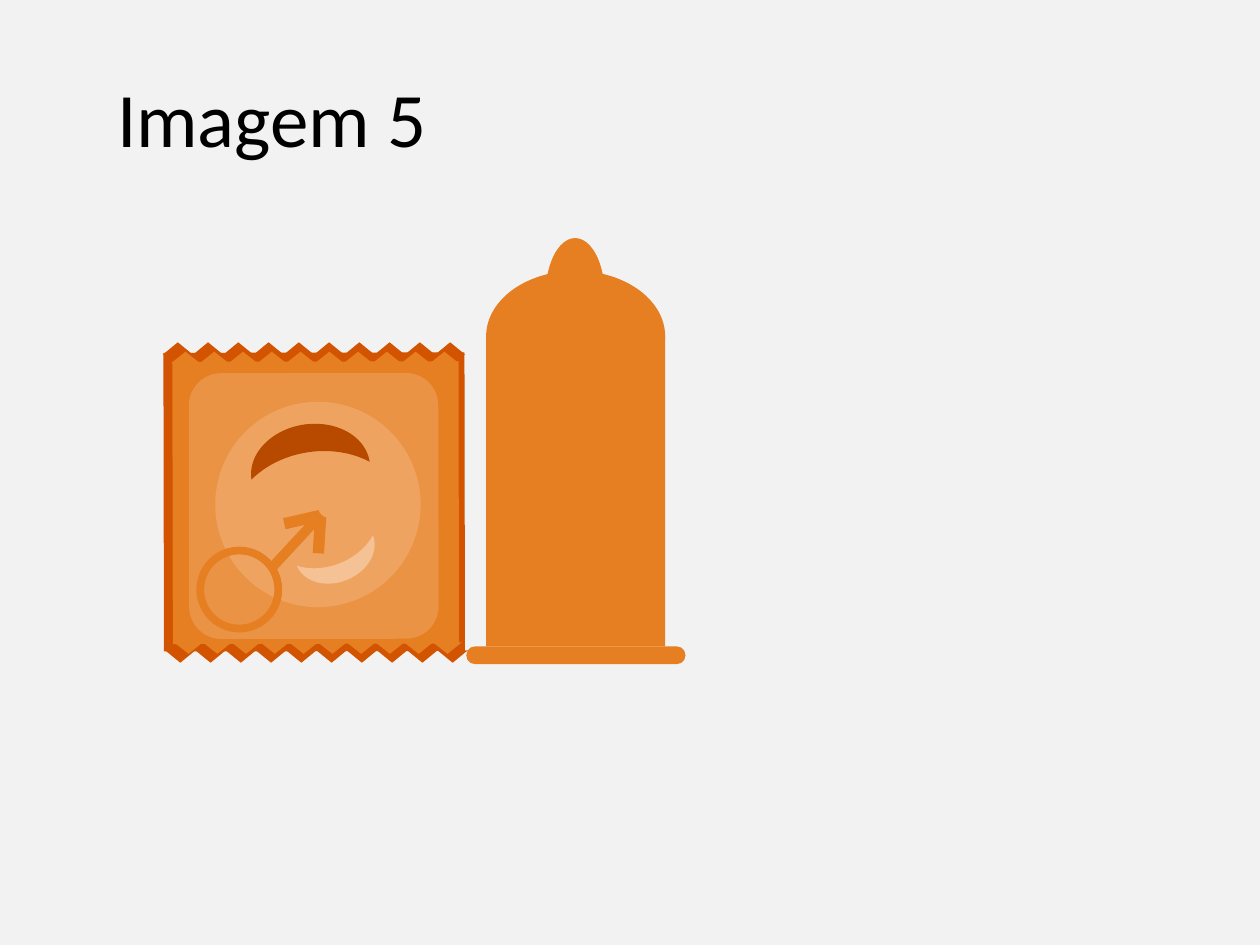
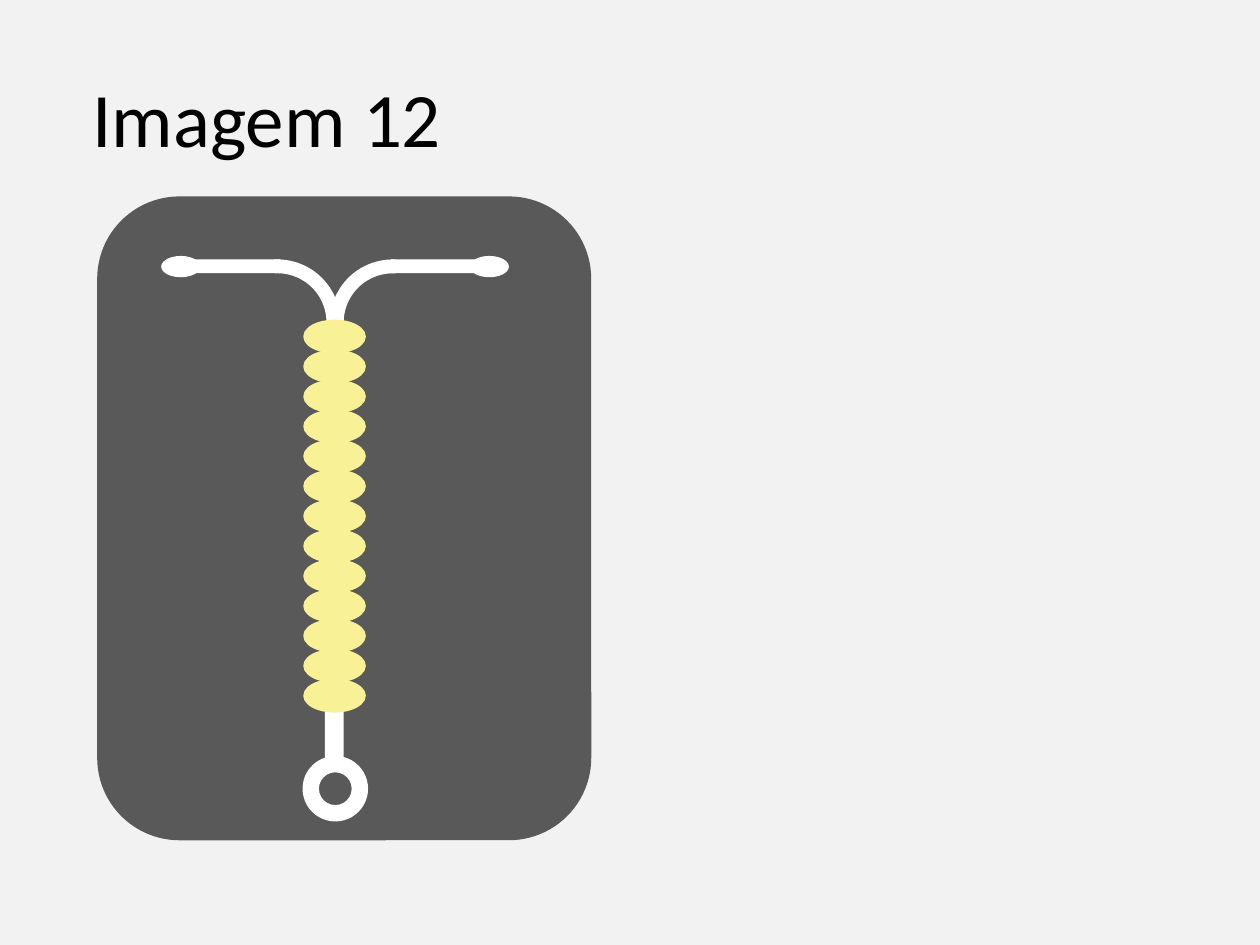
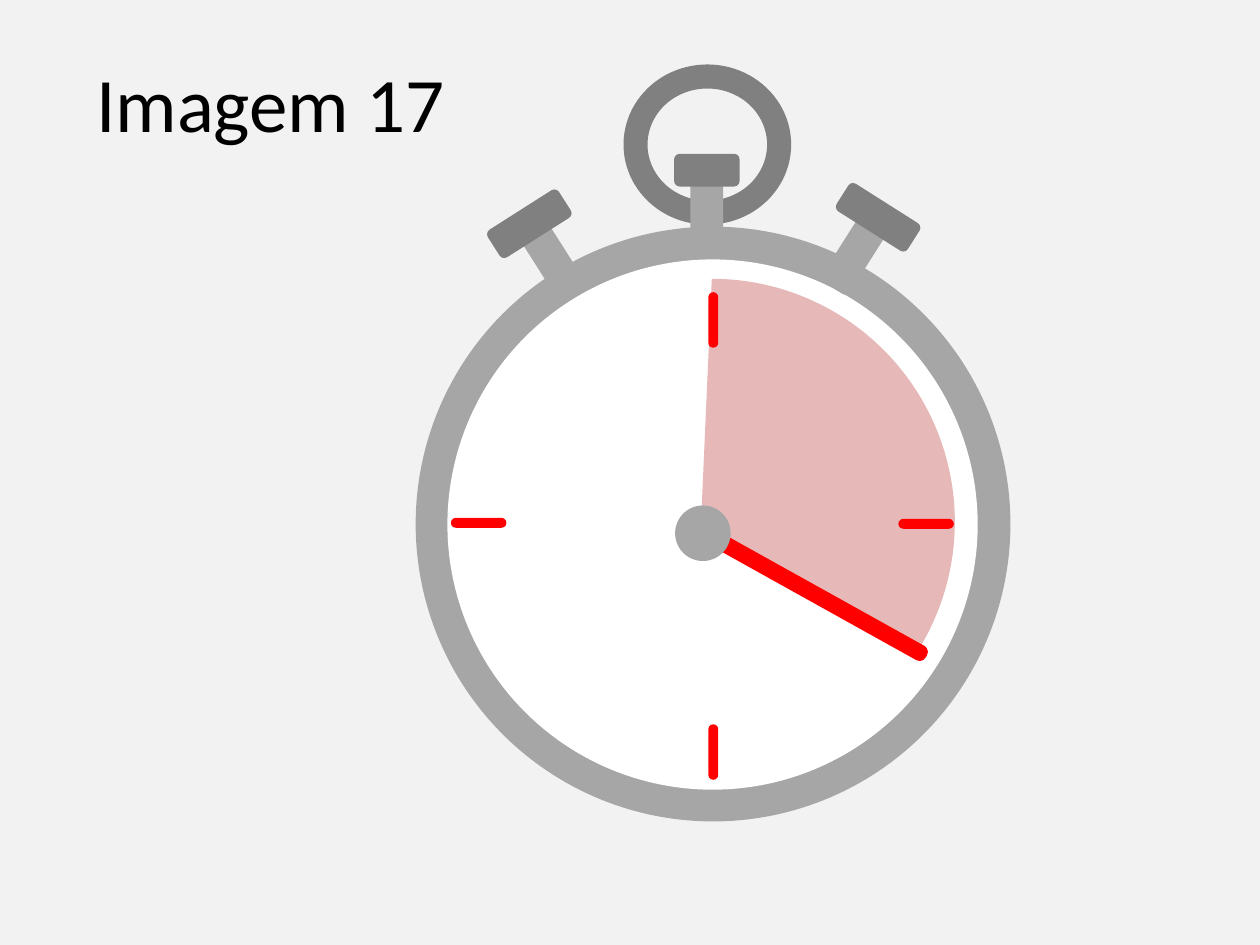
from math import cos, radians, sin

from pptx import Presentation
from pptx.dml.color import RGBColor
from pptx.enum.shapes import MSO_SHAPE
from pptx.enum.text import MSO_ANCHOR, PP_ALIGN
from pptx.util import Cm, Pt

COLORS = {
    "background": "F2F2F2",
    "text": "000000",
    "orange": "E67E22",
    "dark_orange": "D35400",
    "panel": "EA9344",
    "disc": "EEA460",
    "glow": "F4C294",
    "shade": "B84A00",
    "card": "595959",
    "white": "FFFFFF",
    "bead": "F8F196",
    "metal": "A6A6A6",
    "dark_metal": "808080",
    "red": "FF0000",
    "pink": "E6B9B8",
}


def add_text(slide, text, left, top, width, height, size=44, font="Calibri",
             color="text", align=PP_ALIGN.CENTER, anchor=MSO_ANCHOR.MIDDLE):
    frame = slide.shapes.add_textbox(Cm(left), Cm(top), Cm(width), Cm(height)).text_frame
    frame.word_wrap = True
    frame.vertical_anchor = anchor
    paragraph = frame.paragraphs[0]
    paragraph.text = text
    paragraph.alignment = align
    paragraph.font.size = Pt(size)
    paragraph.font.name = font
    paragraph.font.color.rgb = RGBColor.from_string(COLORS[color])


def draw(drawing, kind, left, top, width, height, color, rotation=0, adjust=(), outline=0):
    shape = drawing.add_shape(kind, Cm(left), Cm(top), Cm(width), Cm(height))
    shape.shadow.inherit = False
    shape.rotation = rotation
    shape.fill.solid()
    shape.fill.fore_color.rgb = RGBColor.from_string(COLORS[color])
    if outline:
        shape.line.color.rgb = RGBColor.from_string(COLORS[color])
        shape.line.width = Pt(outline)
    else:
        shape.line.fill.background()
    for index, value in enumerate(adjust):
        shape.adjustments[index] = value


prs = Presentation()
prs.slide_width = Cm(25.4)
prs.slide_height = Cm(19.05)

drawings = []
for title, left, top, width in [
    ("Imagem 5", 1.27, 0.76, 8.43),
    ("Imagem 12", 1.27, 0.76, 8.23),
    ("Imagem 17", 1.14, 0.46, 8.64),
]:
    slide = prs.slides.add_slide(prs.slide_layouts[6])
    slide.background.fill.solid()
    slide.background.fill.fore_color.rgb = RGBColor.from_string(COLORS["background"])
    add_text(slide, title, left, top, width, 3.18)
    drawings.append(slide.shapes.add_group_shape().shapes)
condom, iud, stopwatch = drawings

draw(condom, MSO_SHAPE.OVAL, 11, 4.8, 1.19, 2.26, "orange")
draw(condom, MSO_SHAPE.OVAL, 9.8, 5.46, 3.61, 2.64, "orange")
draw(condom, MSO_SHAPE.RECTANGLE, 9.8, 6.76, 3.61, 6.27, "orange")
draw(condom, MSO_SHAPE.ROUNDED_RECTANGLE, 9.4, 13.03, 4.42, 0.36, "orange", adjust=[0.5])

TILT = -0.1
for color, wrapper, tooth, top_row, bottom_row in [
    ("dark_orange", (3.3, 7.11, 6.07, 6.02), (0.61, 0.25), (3.28, 6.9), (3.33, 13.11)),
    ("orange", (3.48, 7.29, 5.77, 5.69), (0.58, 0.23), (3.45, 7.09), (3.51, 12.95)),
]:
    draw(condom, MSO_SHAPE.RECTANGLE, *wrapper, color, TILT)
    for (left, top), turn in [(top_row, 0), (bottom_row, 180)]:
        for i in range(10):
            draw(condom, MSO_SHAPE.ISOSCELES_TRIANGLE, left + i * tooth[0], top,
                 *tooth, color, turn + TILT)

draw(condom, MSO_SHAPE.ROUNDED_RECTANGLE, 3.81, 7.52, 5.03, 5.36, "panel", TILT, [0.13])
draw(condom, MSO_SHAPE.OVAL, 4.34, 8.1, 4.14, 4.14, "disc")
draw(condom, MSO_SHAPE.MOON, 6.55, 10.57, 0.64, 1.65, "glow", 248.2, [0.57])
draw(condom, MSO_SHAPE.MOON, 5.72, 7.82, 0.94, 2.41, "shade", 81.4, [0.6])
draw(condom, MSO_SHAPE.DONUT, 3.96, 11.02, 1.73, 1.73, "orange", adjust=[0.09])
for left, top, width, height, rotation in [
    (5.26, 10.8, 1.45, 0.2, 312.8),
    (5.72, 10.36, 0.74, 0.23, 167.2),
    (6.07, 10.67, 0.74, 0.23, 273.5),
]:
    draw(condom, MSO_SHAPE.RECTANGLE, left, top, width, height, "orange", rotation)

draw(iud, MSO_SHAPE.ROUNDED_RECTANGLE, 1.96, 3.96, 9.96, 12.98, "card")
for arm, tip, bend, rotation, angles in [
    (3.45, 3.25, 4.32, 86.6, (108.23, 168.26)),
    (7.87, 9.47, 6.65, 273.4, (155.74, 215.77)),
]:
    draw(iud, MSO_SHAPE.RECTANGLE, arm, 5.23, 2.21, 0.28, "white")
    draw(iud, MSO_SHAPE.OVAL, tip, 5.16, 0.79, 0.43, "white")
    draw(iud, MSO_SHAPE.BLOCK_ARC, bend, 5.23, 2.54, 2.54, "white", rotation, [*angles, 0.11])
draw(iud, MSO_SHAPE.RECTANGLE, 6.55, 14.33, 0.38, 1.07, "white")
for i in range(13):
    draw(iud, MSO_SHAPE.OVAL, 6.15, 6.48 + i * 7.24 / 12, 1.19, 0.61, "bead", outline=2)
draw(iud, MSO_SHAPE.DONUT, 6.1, 15.24, 1.32, 1.32, "white")

draw(stopwatch, MSO_SHAPE.OVAL, 8.38, 4.57, 11.99, 11.99, "metal")
draw(stopwatch, MSO_SHAPE.OVAL, 9.02, 5.23, 10.69, 10.69, "white")

arc = [radians(-90 + 122.5 * i / 60) for i in range(61)]
outline = stopwatch.build_freeform(Cm(14.12), Cm(10.82))
outline.add_line_segments(
    [(Cm(14.35 + 4.9 * cos(angle)), Cm(10.52 + 4.9 * sin(angle))) for angle in arc])
elapsed = outline.convert_to_shape()
elapsed.shadow.inherit = False
elapsed.fill.solid()
elapsed.fill.fore_color.rgb = RGBColor.from_string(COLORS["pink"])
elapsed.line.fill.background()

for left, top, rotation in [
    (13.82, 15.06, 270), (9.09, 10.44, 0), (18.11, 10.46, 0), (13.82, 6.35, 270),
]:
    draw(stopwatch, MSO_SHAPE.ROUNDED_RECTANGLE, left, top, 1.12, 0.2, "red", rotation, [0.5])
draw(stopwatch, MSO_SHAPE.ROUNDED_RECTANGLE, 13.84, 11.81, 5.16, 0.33, "red", 209.1, [0.42])
draw(stopwatch, MSO_SHAPE.OVAL, 13.61, 10.19, 1.12, 1.12, "metal")

for stem, cap, rotation, cap_turn in [
    ((10.8, 4.39), (10.34, 3.66), 327.6, -90),
    ((16.92, 4.24), (17.37, 3.53), 32.4, 90),
]:
    draw(stopwatch, MSO_SHAPE.ROUNDED_RECTANGLE, *stem, 0.66, 1.7, "metal", rotation)
    draw(stopwatch, MSO_SHAPE.ROUNDED_RECTANGLE, *cap, 0.66, 1.7, "dark_metal",
         rotation + cap_turn)
draw(stopwatch, MSO_SHAPE.DONUT, 12.57, 1.3, 3.38, 3.23, "dark_metal", adjust=[0.15])
draw(stopwatch, MSO_SHAPE.ROUNDED_RECTANGLE, 13.92, 3.43, 0.66, 1.7, "metal")
draw(stopwatch, MSO_SHAPE.ROUNDED_RECTANGLE, 13.92, 2.77, 0.66, 1.32, "dark_metal", 270)

prs.save("out.pptx")
